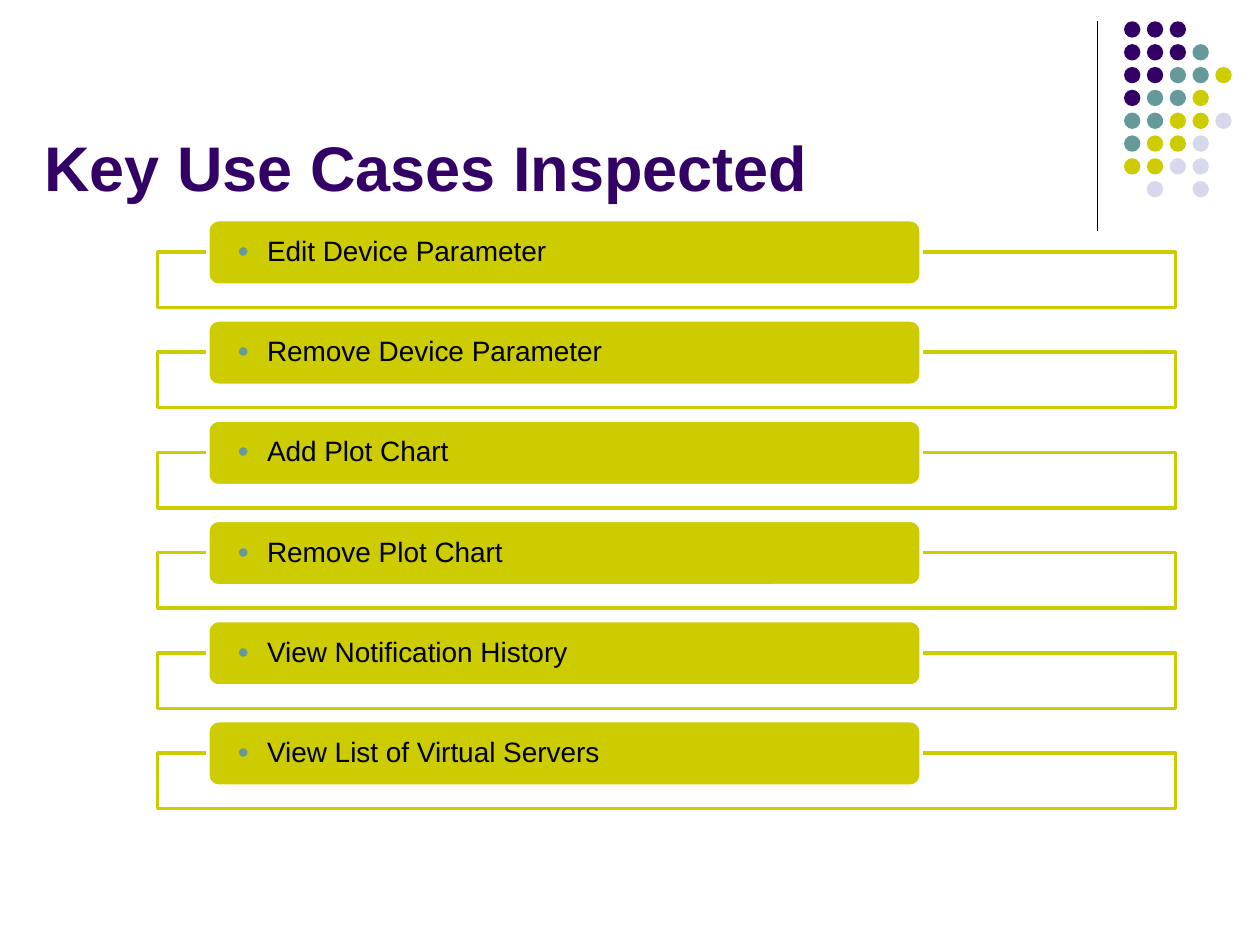
"""Build the slide of inspected key use cases."""
from lxml.etree import SubElement
from pptx import Presentation
from pptx.dml.color import RGBColor
from pptx.enum.shapes import MSO_CONNECTOR, MSO_SHAPE
from pptx.enum.text import MSO_ANCHOR, PP_ALIGN
from pptx.oxml.ns import qn
from pptx.util import Cm, Pt

TITLE = "Key Use Cases Inspected"
CASES = [
    "Edit Device Parameter",
    "Remove Device Parameter",
    "Add Plot Chart",
    "Remove Plot Chart",
    "View Notification History",
    "View List of Virtual Servers",
]
DOTS = ["PPP", "PPPT", "PPTTO", "PTTO", "TTOOL", "TOOL", "OOLL", ".L.L"]
HUES = {
    "P": "330066",
    "T": "669999",
    "O": "CCCC00",
    "L": "D8D8EC",
    "white": "FFFFFF",
    "black": "000000",
}
FONT = "Arial"


def hue(name):
    return RGBColor.from_string(HUES[name])


def draw(kind, box, fill, line=None):
    shape = slide.shapes.add_shape(kind, *map(Cm, box))
    shape.shadow.inherit = False
    shape.fill.solid()
    shape.fill.fore_color.rgb = hue(fill)
    if line:
        shape.line.color.rgb = hue(line)
        shape.line.width = Pt(2)
    else:
        shape.line.fill.background()
    return shape


def write(frame, text, size, color, bold=False):
    frame.text = text
    frame.word_wrap = True
    para = frame.paragraphs[0]
    para.alignment = PP_ALIGN.LEFT
    font = para.runs[0].font
    font.name, font.size, font.bold = FONT, Pt(size), bold
    font.color.rgb = hue(color)
    return para


def bullet(para):
    props = para._p.get_or_add_pPr()
    props.set("marL", str(Cm(0.6)))
    props.set("indent", str(-Cm(0.6)))
    tint = SubElement(props, qn("a:buClr"))
    SubElement(tint, qn("a:srgbClr"), val=HUES["T"])
    SubElement(props, qn("a:buSzPct"), val="70000")
    SubElement(props, qn("a:buFont"), typeface=FONT)
    SubElement(props, qn("a:buChar"), char="●")


deck = Presentation()
deck.slide_width, deck.slide_height = Cm(25.4), Cm(19.05)
slide = deck.slides.add_slide(deck.slide_layouts[5])

title = slide.shapes.title
title.left, title.top, title.width, title.height = map(Cm, (0.64, 0.64, 21.38, 3.6))
write(title.text_frame, TITLE, 36, "P", True)
title.text_frame.vertical_anchor = MSO_ANCHOR.BOTTOM

rule = slide.shapes.add_connector(
    MSO_CONNECTOR.STRAIGHT, Cm(22.12), Cm(0.43), Cm(22.12), Cm(4.65))
rule.line.color.rgb = hue("black")
rule.line.width = Pt(0.75)
SubElement(rule._element.spPr, qn("a:effectLst"))

for row, codes in enumerate(DOTS):
    for col, code in enumerate(codes):
        if code != ".":
            spot = (22.66 + col * 0.46, 0.43 + row * 0.46, 0.33, 0.33)
            draw(MSO_SHAPE.OVAL, spot, code)

for row, case in enumerate(CASES):
    top = 5.08 + row * 2.02
    tray = draw(MSO_SHAPE.RECTANGLE, (3.18, top, 20.52, 1.12), "white", "O")
    shade = tray._element.spPr.find(qn("a:solidFill"))[0]
    SubElement(shade, qn("a:alpha"), val="90000")
    card = draw(MSO_SHAPE.ROUNDED_RECTANGLE, (4.19, top - 0.65, 14.38, 1.32), "O", "white")
    frame = card.text_frame
    frame.margin_left = frame.margin_right = Cm(0.53)
    frame.margin_top = frame.margin_bottom = 0
    frame.vertical_anchor = MSO_ANCHOR.MIDDLE
    para = write(frame, case, 16, "black")
    para.line_spacing = 0.9
    bullet(para)

deck.save("out.pptx")
